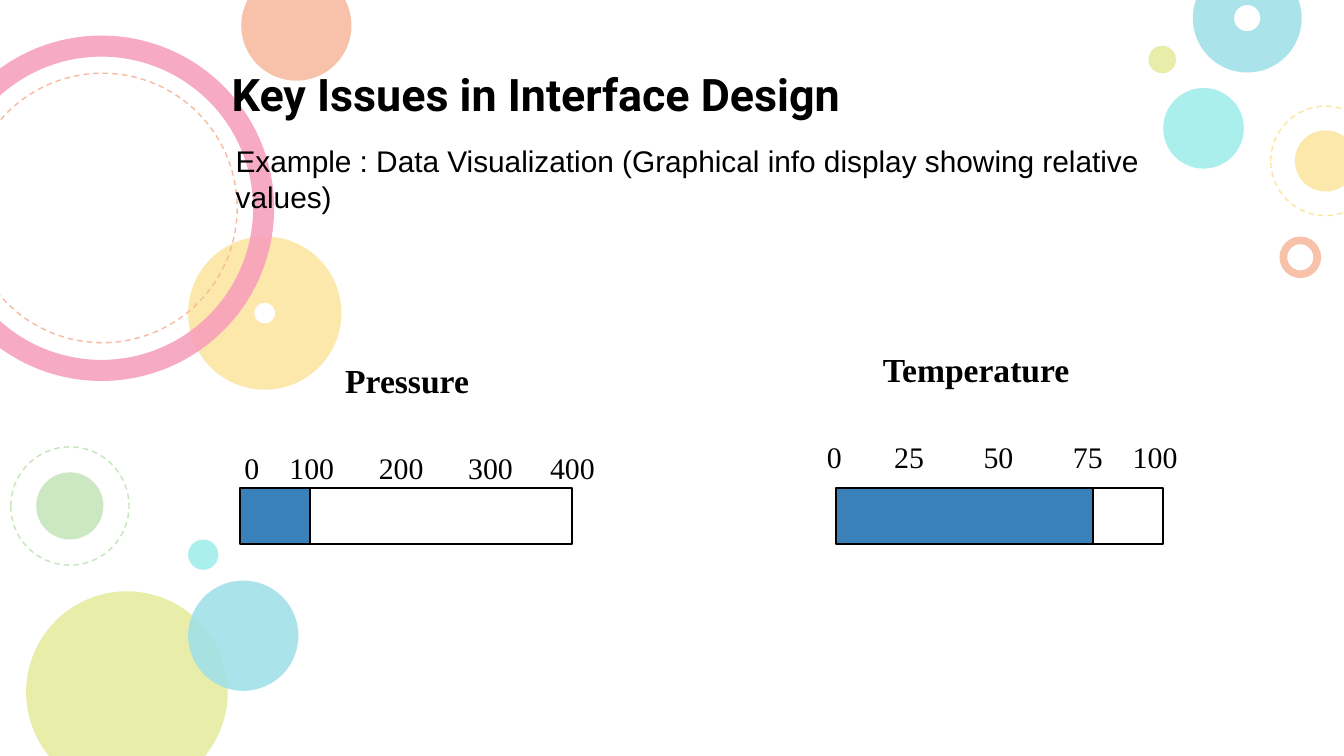
"""Build a slide on interface design with two graphical gauges."""
from dataclasses import dataclass
from typing import NamedTuple, Optional

from lxml import etree
from pptx import Presentation
from pptx.dml.color import RGBColor
from pptx.dml.fill import FillFormat
from pptx.enum.dml import MSO_LINE
from pptx.enum.shapes import MSO_SHAPE
from pptx.enum.text import MSO_ANCHOR, PP_ALIGN
from pptx.oxml.ns import qn
from pptx.shapes.autoshape import Shape
from pptx.slide import Slide
from pptx.util import Emu, Pt

RECTANGLE, ELLIPSE, DONUT = MSO_SHAPE.RECTANGLE, MSO_SHAPE.OVAL, MSO_SHAPE.DONUT
DASH = MSO_LINE.DASH
TOP, BOTTOM = MSO_ANCHOR.TOP, MSO_ANCHOR.BOTTOM
LEFT = PP_ALIGN.LEFT
EMU_PER_PX = 4572


@dataclass(frozen=True)
class Theme:
    white: str = "FFFFFF"
    black: str = "000000"
    gauge: str = "3A81BA"
    aqua: str = "00D1C6"
    lime: str = "BBCD00"
    green: str = "65BB48"
    yellow: str = "F8BB00"
    orange: str = "ED4A00"
    pink: str = "E8004C"
    cyan: str = "00ACC3"
    circle_alpha: int = 87
    veil_alpha: int = 62
    title_font: str = "Roboto"
    body_font: str = "Arial"
    gauge_font: str = "Times New Roman"
    title_size: int = 24
    body_size: int = 16
    heading_size: int = 18
    dash_width: float = 0.75
    bar_width: int = 1


THEME = Theme()


class Box(NamedTuple):
    left: int
    top: int
    width: int
    height: int


class Circle(NamedTuple):
    left: int
    top: int
    diameter: int
    color: str
    ring: Optional[float] = None
    dashed: bool = False


class Label(NamedTuple):
    text: str
    left: int
    width: int


@dataclass(frozen=True)
class Gauge:
    heading: str
    heading_box: Box
    filled: Box
    empty: Box
    scale_top: int
    labels: tuple[Label, ...]


CIRCLES = (
    Circle(280, 803, 45, THEME.aqua),
    Circle(39, 880, 300, THEME.lime),
    Circle(54, 703, 100, THEME.green),
    Circle(16, 665, 176, THEME.green, dashed=True),
    Circle(280, 352, 228, THEME.yellow, ring=0.432),
    Circle(359, -44, 164, THEME.orange),
    Circle(-106, 53, 514, THEME.pink, ring=0.061),
    Circle(-48, 109, 401, THEME.orange, dashed=True),
    Circle(280, 864, 164, THEME.cyan),
    Circle(1731, 131, 120, THEME.aqua),
    Circle(1904, 352, 62, THEME.orange, ring=0.186),
    Circle(1927, 194, 91, THEME.yellow),
    Circle(1775, -54, 162, THEME.cyan, ring=0.379),
    Circle(1709, 68, 41, THEME.lime),
    Circle(1891, 158, 163, THEME.yellow, dashed=True),
)

GAUGES = (
    Gauge("Pressure", Box(494, 526, 284, 80), Box(357, 726, 104, 84), Box(461, 726, 390, 84), 660,
          (Label("0", 344, 54), Label("100", 411, 116), Label("200", 544, 116),
           Label("300", 677, 116), Label("400", 799, 112))),
    Gauge("Temperature", Box(1294, 510, 416, 80), Box(1244, 726, 390, 84), Box(1627, 726, 104, 84), 643,
          (Label("0", 1211, 54), Label("25", 1311, 100), Label("50", 1444, 100),
           Label("75", 1577, 116), Label("100", 1666, 112))),
)


def px(length: int) -> Emu:
    return Emu(length * EMU_PER_PX)


def set_fill(fill: FillFormat, color: str, alpha: int = 100) -> None:
    fill.solid()
    fill.fore_color.rgb = RGBColor.from_string(color)
    if alpha < 100:
        color_element = fill._xPr.find(qn("a:solidFill"))[0]
        etree.SubElement(color_element, qn("a:alpha")).set("val", str(alpha * 1000))


def add_shape(slide: Slide, kind: MSO_SHAPE, box: Box) -> Shape:
    shape = slide.shapes.add_shape(kind, *map(px, box))
    shape.shadow.inherit = False
    return shape


def add_circle(slide: Slide, circle: Circle) -> None:
    kind = ELLIPSE if circle.ring is None else DONUT
    shape = add_shape(slide, kind, Box(circle.left, circle.top, circle.diameter, circle.diameter))
    if circle.ring is not None:
        shape.adjustments[0] = circle.ring
    if circle.dashed:
        shape.fill.background()
        set_fill(shape.line.fill, circle.color)
        shape.line.width = Pt(THEME.dash_width)
        shape.line.dash_style = DASH
    else:
        set_fill(shape.fill, circle.color, THEME.circle_alpha)
        shape.line.fill.background()


def add_veil(slide: Slide) -> None:
    shape = add_shape(slide, RECTANGLE, Box(-62, -38, 2144, 1222))
    set_fill(shape.fill, THEME.white, THEME.veil_alpha)
    shape.line.fill.background()


def add_bar(slide: Slide, box: Box, color: str) -> None:
    shape = add_shape(slide, RECTANGLE, box)
    set_fill(shape.fill, color)
    set_fill(shape.line.fill, THEME.black)
    shape.line.width = Pt(THEME.bar_width)


def add_text(slide: Slide, box: Box, text: str, font: str, size: int, bold: bool = False,
             anchor: MSO_ANCHOR = TOP, margin: int = 10) -> None:
    frame = slide.shapes.add_textbox(*map(px, box)).text_frame
    frame.word_wrap = True
    frame.vertical_anchor = anchor
    frame.margin_left = frame.margin_right = px(20)
    frame.margin_top = frame.margin_bottom = px(margin)
    paragraph = frame.paragraphs[0]
    paragraph.text = text
    paragraph.alignment = LEFT
    paragraph.font.name = font
    paragraph.font.size = Pt(size)
    paragraph.font.bold = bold
    paragraph.font.color.rgb = RGBColor.from_string(THEME.black)


def add_gauge(slide: Slide, gauge: Gauge) -> None:
    add_bar(slide, gauge.filled, THEME.gauge)
    add_bar(slide, gauge.empty, THEME.white)
    for label in gauge.labels:
        add_text(slide, Box(label.left, gauge.scale_top, label.width, 74), label.text,
                 THEME.gauge_font, THEME.body_size)
    add_text(slide, gauge.heading_box, gauge.heading, THEME.gauge_font, THEME.heading_size, bold=True)


def main() -> None:
    presentation = Presentation()
    presentation.slide_width, presentation.slide_height = px(2000), px(1125)
    slide = presentation.slides.add_slide(presentation.slide_layouts[6])
    set_fill(slide.background.fill, THEME.white)
    for circle in CIRCLES:
        add_circle(slide, circle)
    add_veil(slide)
    add_text(slide, Box(325, 60, 1470, 140), "Key Issues in Interface Design", THEME.title_font,
             THEME.title_size, bold=True, anchor=BOTTOM, margin=20)
    add_text(slide, Box(331, 203, 1438, 128),
             "Example : Data Visualization (Graphical info display showing relative values)",
             THEME.body_font, THEME.body_size)
    for gauge in GAUGES:
        add_gauge(slide, gauge)
    presentation.save("out.pptx")


if __name__ == "__main__":
    main()
